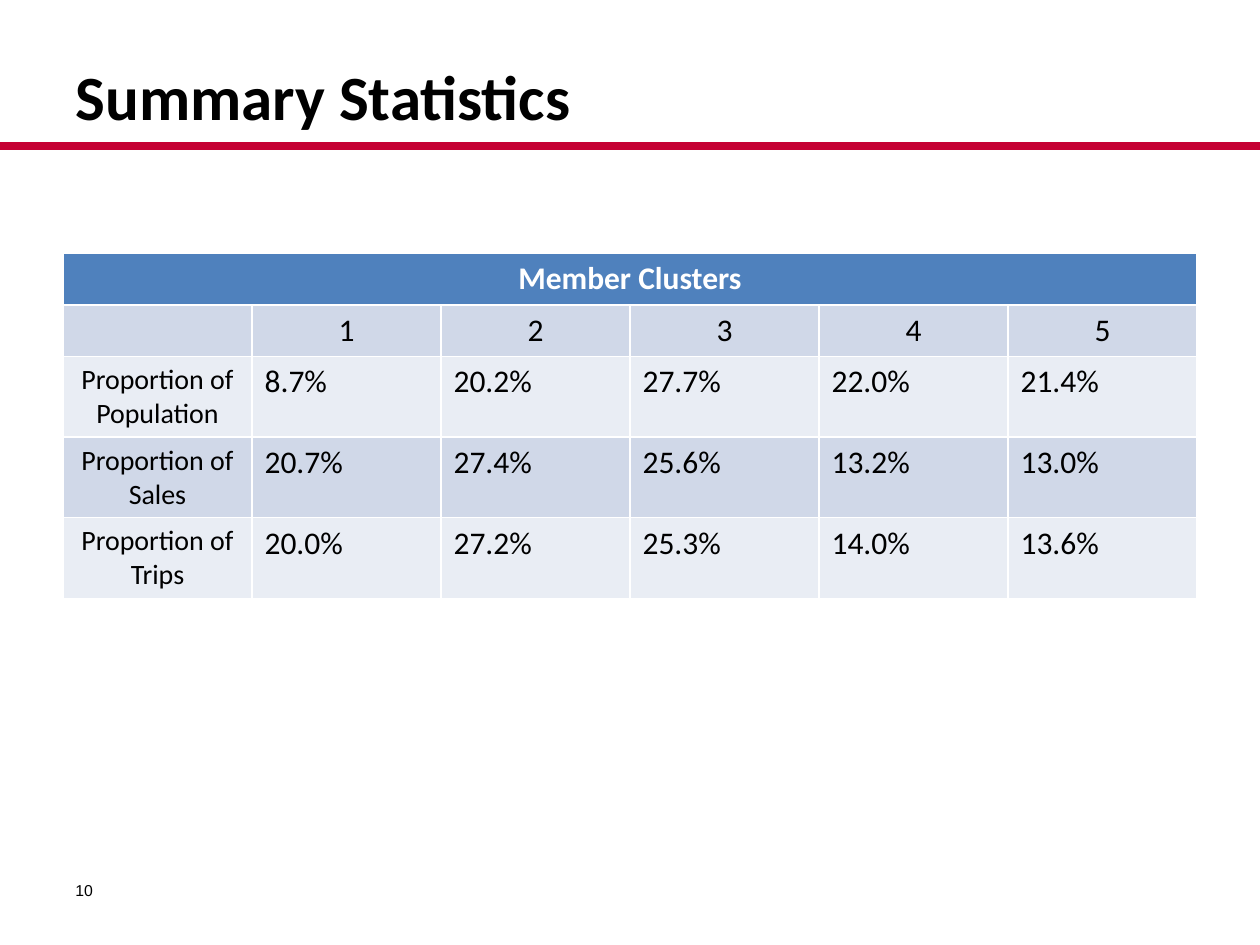
from lxml import etree
from pptx import Presentation
from pptx.dml.color import RGBColor
from pptx.enum import shapes, text
from pptx.oxml.ns import qn
from pptx.util import Inches, Pt

BLACK = RGBColor(0x00, 0x00, 0x00)
WHITE = RGBColor(0xFF, 0xFF, 0xFF)
RED = RGBColor(0xC5, 0x01, 0x33)
HEADER_BLUE = RGBColor(0x4F, 0x81, 0xBD)
BAND_DARK = RGBColor(0xD0, 0xD8, 0xE8)
BAND_LIGHT = RGBColor(0xE9, 0xED, 0xF4)

ROWS = [
    ["Member Clusters", "", "", "", "", ""],
    ["", "1", "2", "3", "4", "5"],
    ["Proportion of Population", "8.7%", "20.2%", "27.7%", "22.0%", "21.4%"],
    ["Proportion of Sales", "20.7%", "27.4%", "25.6%", "13.2%", "13.0%"],
    ["Proportion of Trips", "20.0%", "27.2%", "25.3%", "14.0%", "13.6%"],
]
ROW_HEIGHTS = [0.41, 0.41, 0.64, 0.64, 0.64]
ROW_FILLS = [HEADER_BLUE, BAND_DARK, BAND_LIGHT, BAND_DARK, BAND_LIGHT]


def set_text(text_frame, content, size, font="Calibri", color=BLACK, bold=False,
             align=text.PP_ALIGN.LEFT):
    text_frame.text = content
    paragraph = text_frame.paragraphs[0]
    paragraph.alignment = align
    for run in paragraph.runs:
        run.font.name = font
        run.font.size = Pt(size)
        run.font.bold = bold
        run.font.color.rgb = color


presentation = Presentation()
presentation.slide_width = Inches(10)
presentation.slide_height = Inches(7.5)
slide = presentation.slides.add_slide(presentation.slide_layouts[5])

# Title and rule
title = slide.shapes.title
title.left, title.top = Inches(0.5), Inches(0.41)
title.width, title.height = Inches(8.66), Inches(0.71)
set_text(title.text_frame, "Summary Statistics", 36, bold=True)
title.text_frame.vertical_anchor = text.MSO_ANCHOR.TOP
title.text_frame.auto_size = text.MSO_AUTO_SIZE.SHAPE_TO_FIT_TEXT

rule = slide.shapes.add_connector(
    shapes.MSO_CONNECTOR.STRAIGHT, Inches(0), Inches(1.16), Inches(10), Inches(1.16))
rule.line.color.rgb = RED
rule.line.width = Pt(4.5)
etree.SubElement(rule._element.spPr, qn("a:effectLst"))

# Cluster table; the default table style supplies the white borders
table = slide.shapes.add_table(
    len(ROWS), len(ROWS[0]), Inches(0.5), Inches(2.01),
    Inches(9), Inches(sum(ROW_HEIGHTS))).table
table.cell(0, 0).merge(table.cell(0, len(ROWS[0]) - 1))

for row, values in enumerate(ROWS):
    table.rows[row].height = Inches(ROW_HEIGHTS[row])
    is_header = row == 0
    for column, value in enumerate(values):
        cell = table.cell(row, column)
        cell.fill.solid()
        cell.fill.fore_color.rgb = ROW_FILLS[row]
        is_row_label = row >= 2 and column == 0
        is_centered = row < 2 or column == 0
        set_text(cell.text_frame, value, 16 if is_row_label else 18,
                 color=WHITE if is_header else BLACK, bold=is_header,
                 align=text.PP_ALIGN.CENTER if is_centered else text.PP_ALIGN.LEFT)

# Slide number
slide_number = slide.shapes.add_textbox(
    Inches(0.5), Inches(6.94), Inches(1.11), Inches(0.25))
slide_number.text_frame.word_wrap = True
slide_number.text_frame.vertical_anchor = text.MSO_ANCHOR.MIDDLE
set_text(slide_number.text_frame, "10", 9, font="Arial")

presentation.save("out.pptx")
